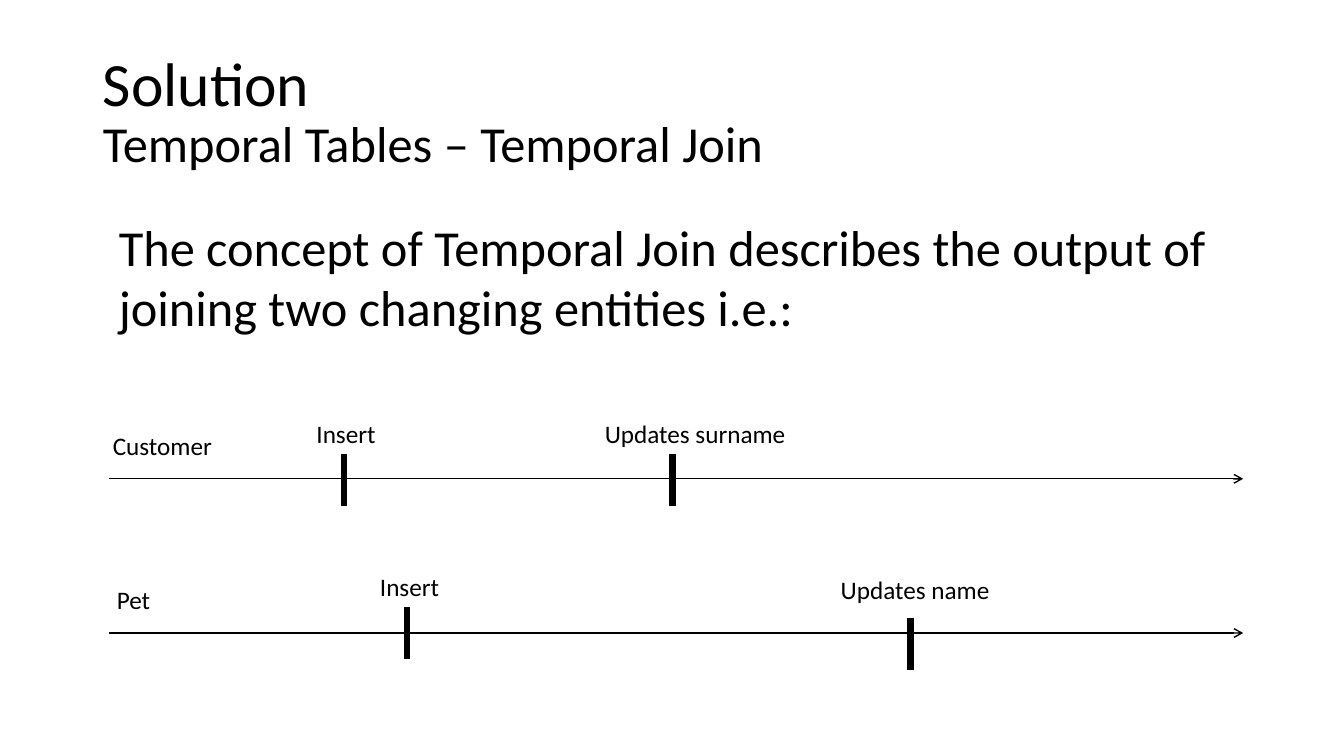
from lxml.etree import SubElement
from pptx import Presentation
from pptx.dml.color import RGBColor
from pptx.enum.shapes import MSO_CONNECTOR as Connector
from pptx.enum.text import MSO_ANCHOR as Anchor, MSO_AUTO_SIZE as AutoSize, PP_ALIGN as Align
from pptx.oxml.ns import qn
from pptx.util import Inches, Pt

BLACK = "000000"
FONT = "Calibri"
TITLE_LINES = [("Solution", 44), ("Temporal Tables – Temporal Join", 36)]
CONCEPT = ("The concept of Temporal Join describes the output of "
           "joining two changing entities i.e.:")
AXIS_LEFT, AXIS_RIGHT = 1.08, 12.33
TICK_HEIGHT = 0.52
LABEL_HEIGHT = 0.4
TIMELINES = [
    {"entity": "Customer", "entity_left": 1.02, "y": 4.75, "events": [
        ("Insert", 3.41, 4.5, 3.04, 4.1, 0.95),
        ("Updates surname", 6.67, 4.5, 5.9, 4.1, 2.12)]},
    {"entity": "Pet", "entity_left": 1.06, "y": 6.28, "events": [
        ("Insert", 4.04, 6.02, 3.67, 5.62, 0.95),
        ("Updates name", 9.03, 6.13, 8.24, 5.65, 2.12)]},
]


def color(value):
    return RGBColor.from_string(value)


def style(font, size):
    font.name = FONT
    font.size = Pt(size)
    font.color.rgb = color(BLACK)


def add_label(page, text, left, top, width, height, size):
    box = page.shapes.add_textbox(Inches(left), Inches(top), Inches(width), Inches(height))
    box.text_frame.word_wrap = True
    para = box.text_frame.paragraphs[0]
    para.text = text
    style(para.font, size)


def add_line(page, x1, y1, x2, y2, width, arrow=False):
    line = page.shapes.add_connector(
        Connector.STRAIGHT, Inches(x1), Inches(y1), Inches(x2), Inches(y2))
    line.line.color.rgb = color(BLACK)
    line.line.width = Pt(width)
    if arrow:
        SubElement(line.line._get_or_add_ln(), qn("a:tailEnd"), type="arrow")
    SubElement(line._element.spPr, qn("a:effectLst"))


def add_title(page):
    title = page.shapes.title
    title.left, title.top = Inches(0.92), Inches(0.4)
    title.width, title.height = Inches(11.5), Inches(1.45)
    frame = title.text_frame
    frame.auto_size = AutoSize.NONE
    frame.vertical_anchor = Anchor.MIDDLE
    para = frame.paragraphs[0]
    para.alignment = Align.LEFT
    para.line_spacing = 0.9
    for index, (text, size) in enumerate(TITLE_LINES):
        if index:
            para.add_line_break()
        span = para.add_run()
        span.text = text
        style(span.font, size)


def add_timeline(page, timeline):
    y = timeline["y"]
    add_line(page, AXIS_LEFT, y, AXIS_RIGHT, y, 1, arrow=True)
    add_label(page, timeline["entity"], timeline["entity_left"], y - 0.53,
              1.28, LABEL_HEIGHT, 18)
    for text, x, tick_top, left, top, width in timeline["events"]:
        add_line(page, x, tick_top, x, tick_top + TICK_HEIGHT, 4.5)
        add_label(page, text, left, top, width, LABEL_HEIGHT, 18)


def main():
    deck = Presentation()
    deck.slide_width, deck.slide_height = Inches(13.33), Inches(7.5)
    page = deck.slides.add_slide(deck.slide_layouts[5])
    add_title(page)
    add_label(page, CONCEPT, 1.08, 2.09, 11.76, 1.31, 36)
    for timeline in TIMELINES:
        add_timeline(page, timeline)
    deck.save("out.pptx")


if __name__ == "__main__":
    main()
